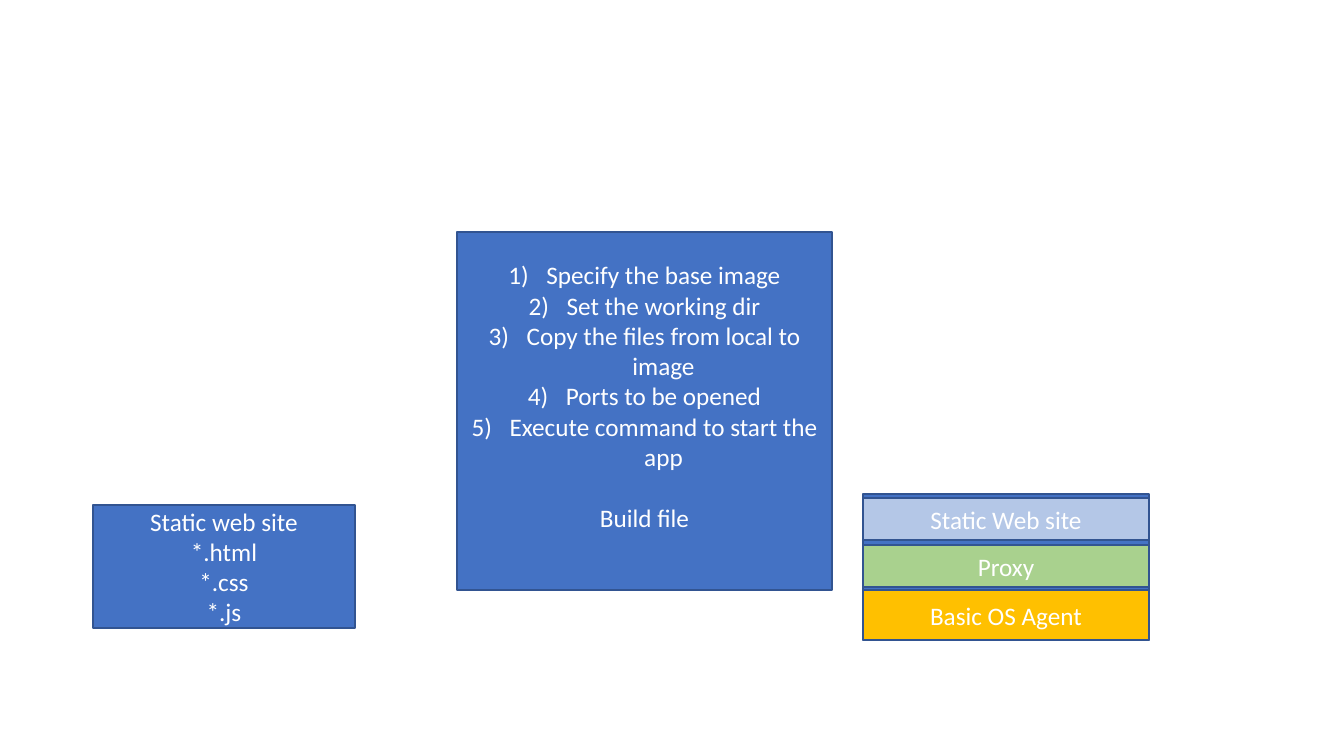
"""Build a slide on how a static web site becomes a layered image."""
from dataclasses import dataclass

import pptx
import pptx.dml.color
import pptx.enum.shapes
import pptx.enum.text
import pptx.oxml
import pptx.oxml.ns
import pptx.util

EMU_PER_PIXEL = 914400 / 100.8
SLIDE_WIDTH, SLIDE_HEIGHT = 1344, 756


@dataclass(frozen=True)
class Theme:
    """Colours, font and sizes of the slide."""
    blue: str = "4472C4"
    pale_blue: str = "B4C7E7"
    green: str = "A9D18E"
    gold: str = "FFC000"
    outline: str = "325491"
    text: str = "FFFFFF"
    font: str = "Calibri"
    text_size: int = 18
    blank_line: int = 22
    line_width: int = 1


@dataclass(frozen=True)
class Box:
    """A filled rectangle, in pixels."""
    left: int
    top: int
    width: int
    height: int
    fill: str


THEME = Theme()
STACK_LEFT, STACK_WIDTH = 863, 286
LIST_INDENT = 38
STEPS_BOTTOM_INSET = 35

STACK_FRAME = Box(STACK_LEFT, 494, STACK_WIDTH, 146, THEME.blue)
SITE_FILES = Box(93, 505, 262, 123, THEME.blue)
BUILD_STEPS = Box(457, 232, 375, 358, THEME.blue)
STACK_LAYERS = [
    ("Basic OS Agent", Box(STACK_LEFT, 590, STACK_WIDTH, 50, THEME.gold)),
    ("Proxy", Box(STACK_LEFT, 545, STACK_WIDTH, 42, THEME.green)),
    ("Static Web site", Box(STACK_LEFT, 498, STACK_WIDTH, 42, THEME.pale_blue)),
]
FILE_LINES = ["Static web site", "*.html", "*.css", "*.js"]
STEP_LINES = [
    "Specify the base image",
    "Set the working dir",
    "Copy the files from local to image",
    "Ports to be opened",
    "Execute command to start the app",
]


def pixels(count: int) -> pptx.util.Emu:
    """Turn pixels into EMU."""
    return pptx.util.Emu(round(count * EMU_PER_PIXEL))


def colour(code: str) -> pptx.dml.color.RGBColor:
    """Turn a hex code into a colour."""
    return pptx.dml.color.RGBColor.from_string(code)


def add_box(slide, box: Box):
    """Draw an outlined rectangle and return its shape."""
    shape = slide.shapes.add_shape(
        pptx.enum.shapes.MSO_SHAPE.RECTANGLE,
        pixels(box.left), pixels(box.top), pixels(box.width), pixels(box.height))
    shape.shadow.inherit = False
    shape.fill.solid()
    shape.fill.fore_color.rgb = colour(box.fill)
    shape.line.color.rgb = colour(THEME.outline)
    shape.line.width = pptx.util.Pt(THEME.line_width)
    shape.text_frame.word_wrap = True
    shape.text_frame.vertical_anchor = pptx.enum.text.MSO_ANCHOR.MIDDLE
    return shape


def add_text(shape, text: str, *, numbered: bool = False, space_before: int = 0) -> None:
    """Add one centred paragraph, numbered if asked, to a shape."""
    frame = shape.text_frame
    paragraph = frame.add_paragraph() if frame.text else frame.paragraphs[0]
    paragraph.alignment = pptx.enum.text.PP_ALIGN.CENTER
    paragraph.space_before = pptx.util.Pt(space_before)
    run = paragraph.add_run()
    run.text = text
    run.font.name = THEME.font
    run.font.size = pptx.util.Pt(THEME.text_size)
    run.font.color.rgb = colour(THEME.text)
    if numbered:
        properties = paragraph._p.get_or_add_pPr()
        properties.set("marL", str(pixels(LIST_INDENT)))
        properties.set("indent", str(-pixels(LIST_INDENT)))
        properties.append(pptx.oxml.parse_xml(
            f'<a:buAutoNum {pptx.oxml.ns.nsdecls("a")} type="arabicParenR"/>'))


def main() -> None:
    """Build and save the presentation."""
    presentation = pptx.Presentation()
    presentation.slide_width = pixels(SLIDE_WIDTH)
    presentation.slide_height = pixels(SLIDE_HEIGHT)
    slide = presentation.slides.add_slide(presentation.slide_layouts[6])

    add_box(slide, STACK_FRAME)
    for label, box in STACK_LAYERS:
        add_text(add_box(slide, box), label)

    site_files = add_box(slide, SITE_FILES)
    for line in FILE_LINES:
        add_text(site_files, line)

    build_steps = add_box(slide, BUILD_STEPS)
    build_steps.text_frame.margin_bottom = pixels(STEPS_BOTTOM_INSET)
    for line in STEP_LINES:
        add_text(build_steps, line, numbered=True)
    add_text(build_steps, "Build file", space_before=THEME.blank_line)

    presentation.save("out.pptx")


main()
